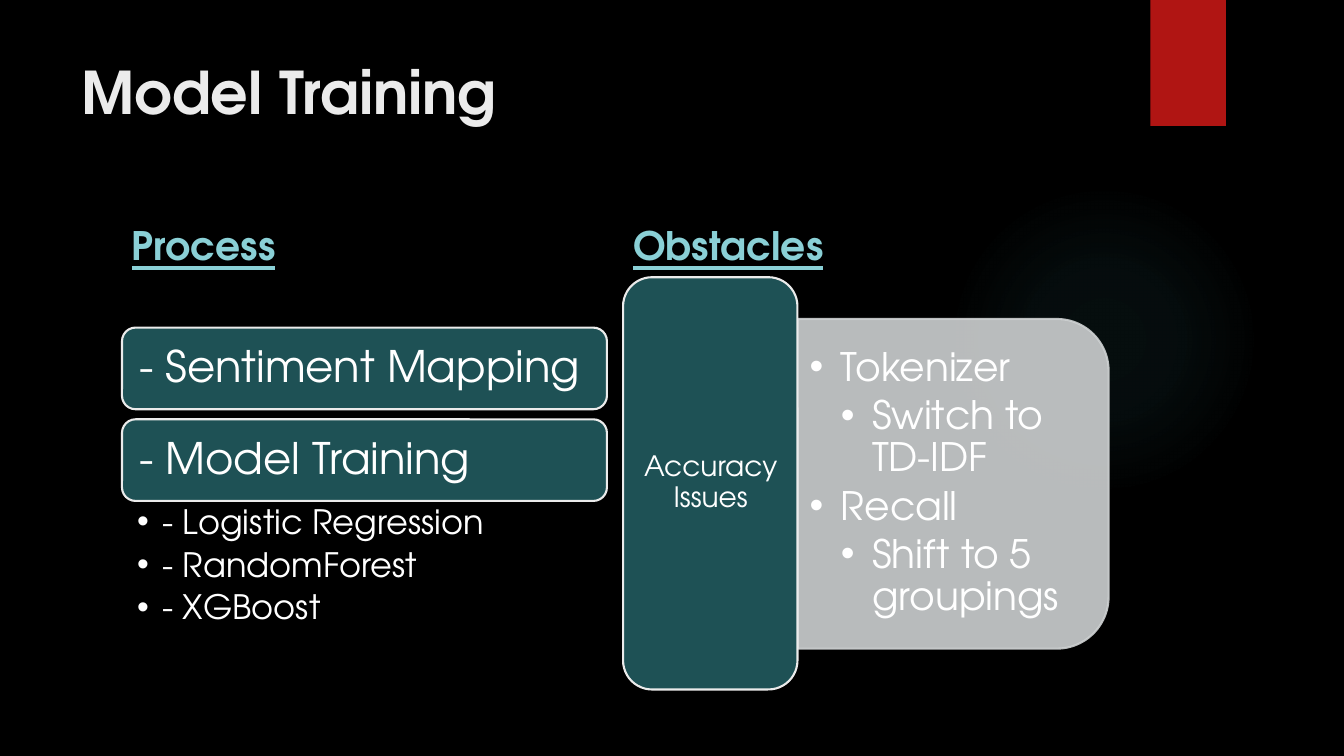
from lxml import etree
from pptx import Presentation
from pptx.dml.color import RGBColor
from pptx.enum.shapes import MSO_SHAPE
from pptx.enum.text import MSO_ANCHOR, PP_ALIGN
from pptx.oxml import parse_xml
from pptx.oxml.ns import nsdecls, qn
from pptx.util import Inches, Pt

BLACK = RGBColor(0x00, 0x00, 0x00)
WHITE = RGBColor(0xFF, 0xFF, 0xFF)
PALE = RGBColor(0xEB, 0xEB, 0xEB)
RED = RGBColor(0xB0, 0x15, 0x13)
AQUA = RGBColor(0x8A, 0xD0, 0xD6)
TEAL = RGBColor(0x1E, 0x51, 0x55)
SILVER = RGBColor(0xCD, 0xD0, 0xD1)
GLOW = RGBColor(0x50, 0xB9, 0xC1)
FONT = "TeX Gyre Adventor"


def add_block(page, kind, box, fill, line=None):
    block = page.shapes.add_shape(kind, *map(Inches, box))
    block.shadow.inherit = False
    block.fill.solid()
    block.fill.fore_color.rgb = fill
    if line is None:
        block.line.fill.background()
    else:
        block.line.color.rgb = line
        block.line.width = Pt(1.5)
    return block


def add_text(page, box, lines, size, color=WHITE, anchor=MSO_ANCHOR.MIDDLE,
             insets=(0.1, 0.05, 0.1, 0.05), spacing=0.9, after=0, bold=False, underline=False,
             align=PP_ALIGN.LEFT, indent=0):
    frame = page.shapes.add_textbox(*map(Inches, box)).text_frame
    frame.word_wrap = True
    frame.vertical_anchor = anchor
    frame.margin_left, frame.margin_top, frame.margin_right, frame.margin_bottom = map(Inches, insets)
    frame.text = "\n".join(text for text, level in lines)
    for para, (text, level) in zip(frame.paragraphs, lines):
        para.alignment = align
        para.line_spacing = spacing
        para.space_after = Pt(after)
        if level:
            add_bullet(para, level, indent)
        for span in para.runs:
            span.font.name = FONT
            span.font.size = Pt(size)
            span.font.color.rgb = color
            span.font.bold = bold
            span.font.underline = underline


def add_bullet(para, level, indent):
    para.level = level
    properties = para._p.get_or_add_pPr()
    properties.set("marL", str(Inches(indent * level)))
    properties.set("indent", str(Inches(-indent)))
    etree.SubElement(properties, qn("a:buFont")).set("typeface", "Arial")
    etree.SubElement(properties, qn("a:buChar")).set("char", "•")


def add_backdrop(page):
    page.background.fill.solid()
    page.background.fill.fore_color.rgb = BLACK
    glow = add_block(page, MSO_SHAPE.OVAL, (9.41, 1.83, 3.08, 3.08), GLOW)
    stops = "".join(
        f'<a:gs pos="{position * 1000}"><a:srgbClr val="{GLOW}">'
        f'<a:alpha val="{alpha * 1000}"/></a:srgbClr></a:gs>'
        for position, alpha in ((0, 7), (36, 6), (69, 0), (100, 0)))
    solid = glow._element.spPr.find(qn("a:solidFill"))
    solid.getparent().replace(solid, parse_xml(
        f'<a:gradFill {nsdecls("a")}><a:gsLst>{stops}</a:gsLst><a:path path="circle">'
        '<a:fillToRect l="50000" t="50000" r="50000" b="50000"/></a:path></a:gradFill>'))
    ribbon = add_block(page, MSO_SHAPE.RECTANGLE, (11.41, 0, 0.75, 1.25), RED)
    effects = ribbon._element.spPr.find(qn("a:effectLst"))
    effects.append(parse_xml(
        f'<a:outerShdw {nsdecls("a")} blurRad="{Pt(3)}" dist="{Pt(2)}" dir="5400000">'
        f'<a:srgbClr val="{BLACK}"><a:alpha val="45000"/></a:srgbClr></a:outerShdw>'))


def add_heading(page, left, top, width, text):
    add_text(page, (left, top, width, 0.63), [(text, 0)], 28, AQUA, MSO_ANCHOR.BOTTOM,
             spacing=1, bold=True, underline=True)


def add_process(page, left, top, width):
    add_heading(page, left, top, width, "Process")
    height, pitch, edge = 0.81, 0.91, 0.04
    first = top + 1.17
    for index, step in enumerate(("- Sentiment Mapping", "- Model Training")):
        y = first + index * pitch
        add_block(page, MSO_SHAPE.ROUNDED_RECTANGLE, (left, y, width, height), TEAL, PALE)
        add_text(page, (left + edge, y + edge, width - 2 * edge, height - 2 * edge),
                 [(step, 0)], 31, insets=(0.13,) * 4)
    models = ("- Logistic Regression", "- RandomForest", "- XGBoost")
    add_text(page, (left, first + pitch + height, width, 1.37), [(model, 1) for model in models],
             24, anchor=MSO_ANCHOR.TOP, insets=(0.15, 0.04, 0.24, 0.04), after=4.8, indent=0.25)


def add_obstacles(page, left, top, width):
    add_heading(page, left, top, width, "Obstacles")
    y = top + 0.67
    card = add_block(page, MSO_SHAPE.ROUND_2_SAME_RECTANGLE,
                     (left + 1.64, y + 0.51, 3.27, 3.08), SILVER, SILVER)
    card.rotation = 90
    for color in card._element.spPr.iter(qn("a:srgbClr")):
        etree.SubElement(color, qn("a:alpha")).set("val", "90000")
    issues = [("Tokenizer", 1), ("Switch to TD-IDF", 2), ("Recall", 1), ("Shift to 5 groupings", 2)]
    add_text(page, (left + 1.73, y + 0.56, 2.93, 2.97), issues, 28,
             insets=(0.12, 0.06, 0.12, 0.06), after=4.2, indent=0.31)
    add_block(page, MSO_SHAPE.ROUNDED_RECTANGLE, (left, y, 1.73, 4.09), TEAL, PALE)
    add_text(page, (left + 0.09, y + 0.08, 1.56, 3.92), [("Accuracy Issues", 0)], 20,
             insets=(0.08, 0.04, 0.08, 0.04), align=PP_ALIGN.CENTER)


def main():
    deck = Presentation()
    deck.slide_width, deck.slide_height = Inches(13.33), Inches(7.5)
    page = deck.slides.add_slide(deck.slide_layouts[6])
    add_backdrop(page)
    add_text(page, (0.71, 0.5, 10.29, 1.53), [("Model Training", 0)], 42, PALE,
             MSO_ANCHOR.TOP, spacing=1, bold=True)
    add_process(page, 1.21, 2.08, 4.81)
    add_obstacles(page, 6.18, 2.08, 4.81)
    deck.save("out.pptx")


if __name__ == "__main__":
    main()
